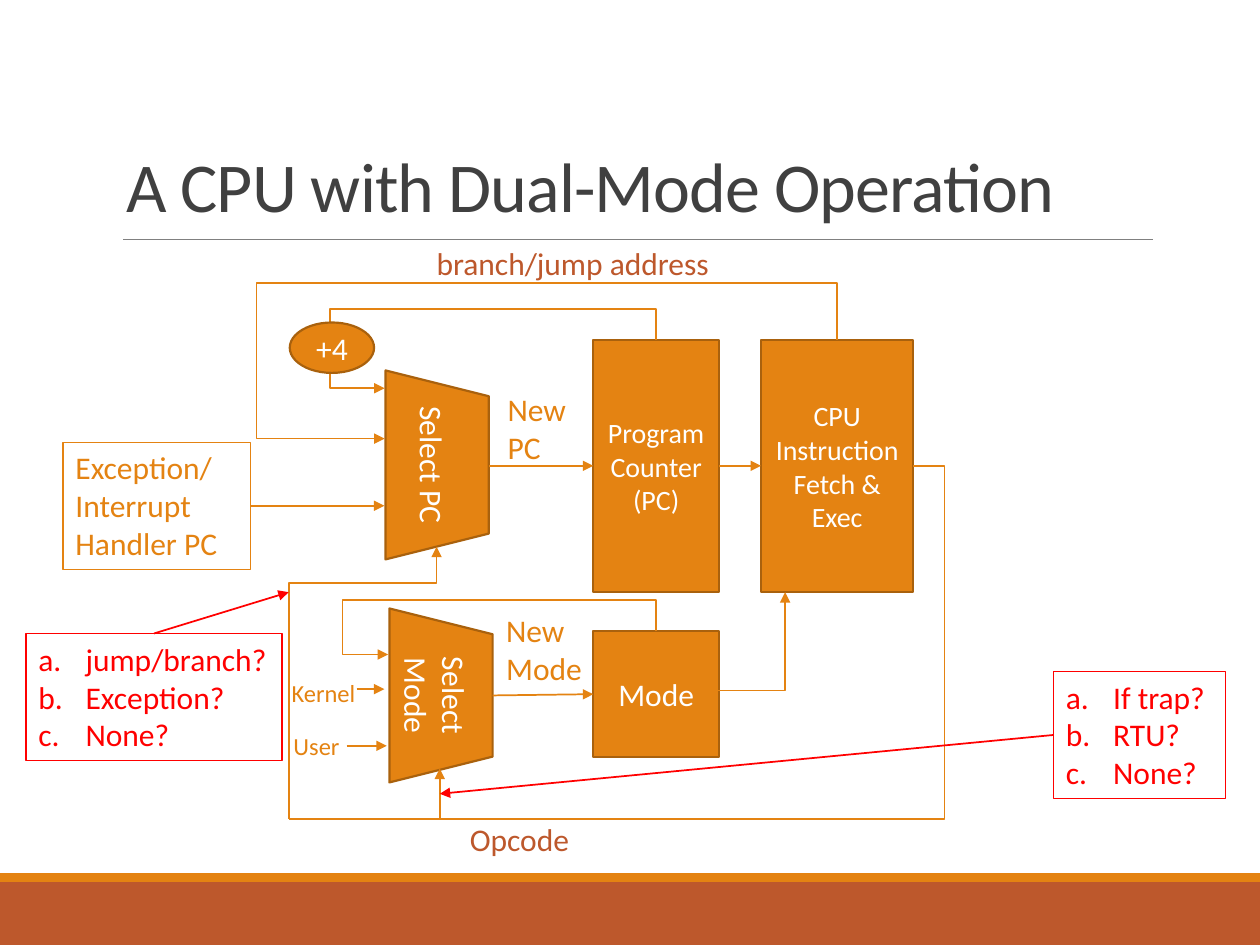
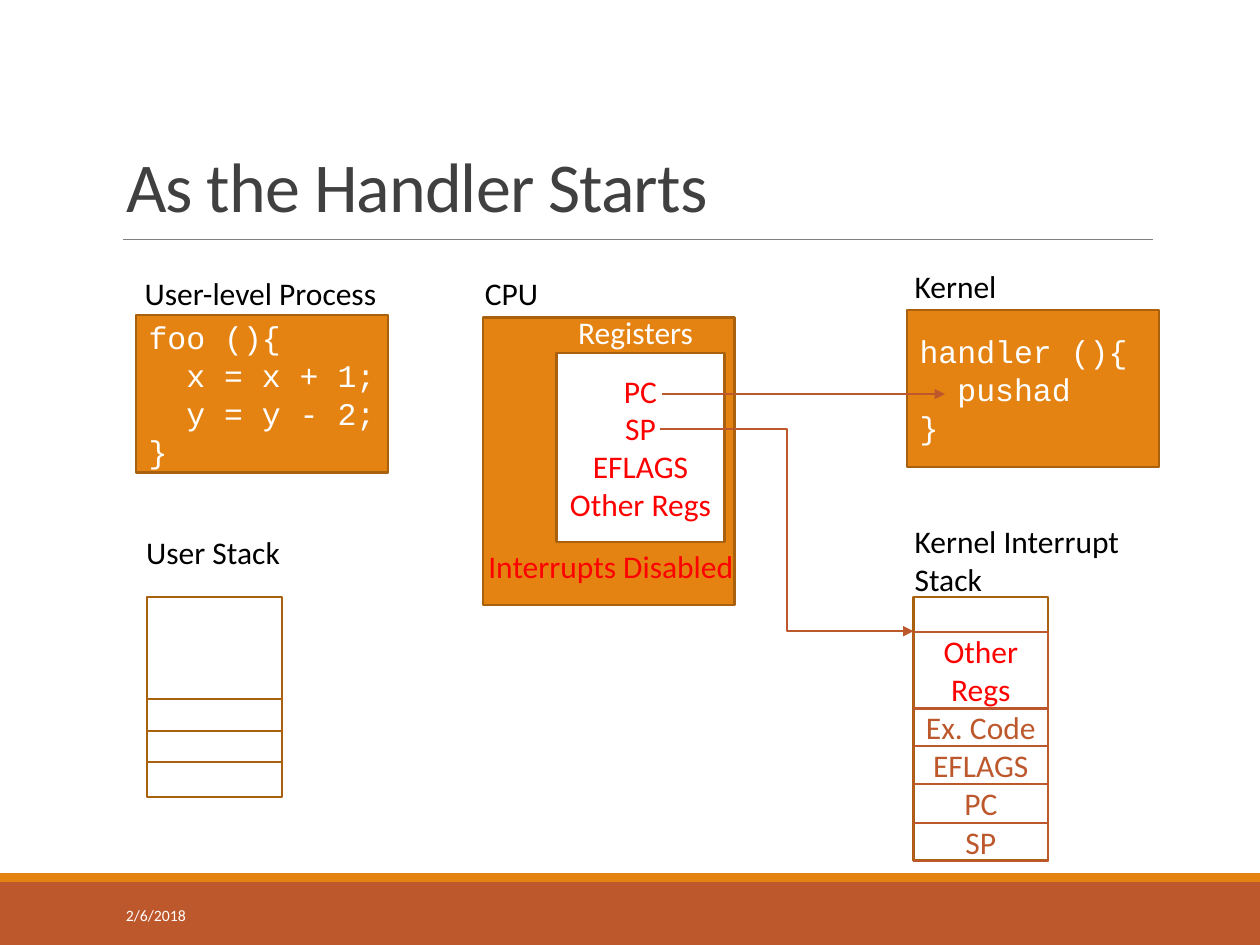
from dataclasses import dataclass
from lxml.etree import SubElement
from pptx import Presentation
from pptx.dml.color import RGBColor
from pptx.enum.shapes import MSO_CONNECTOR, MSO_SHAPE
from pptx.enum.text import MSO_ANCHOR, MSO_AUTO_SIZE, PP_ALIGN
from pptx.oxml.ns import qn
from pptx.util import Pt


@dataclass(frozen=True)
class Theme:
    orange: str = "E48312"
    outline: str = "A9610D"
    rust: str = "BD582C"
    red: str = "FF0000"
    white: str = "FFFFFF"
    black: str = "000000"
    title: str = "404040"
    rule: str = "808080"
    font: str = "Calibri"
    code_font: str = "Courier New"
    title_size: float = 40
    body_size: float = 18
    block_size: float = 16
    label_size: float = 14
    date_size: float = 9
    outline_width: float = 1.25
    line_width: float = 1
    frame_width: float = 0.75
    rule_width: float = 0.5


theme = Theme()


def add_box(slide, frame, lines="", color=theme.white, size=theme.body_size, kind=None, fill=None,
            line=None, width=theme.outline_width, align=PP_ALIGN.LEFT, anchor=MSO_ANCHOR.TOP,
            wrap=True, font=theme.font):
    lengths = [Pt(value) for value in frame]
    if kind is None:
        shape = slide.shapes.add_textbox(*lengths)
        shape.text_frame.auto_size = MSO_AUTO_SIZE.SHAPE_TO_FIT_TEXT
    else:
        shape = slide.shapes.add_shape(kind, *lengths)
        shape.shadow.inherit = False
    if fill:
        shape.fill.solid()
        shape.fill.fore_color.rgb = RGBColor.from_string(fill)
    else:
        shape.fill.background()
    if line:
        shape.line.color.rgb = RGBColor.from_string(line)
        shape.line.width = Pt(width)
    else:
        shape.line.fill.background()
    text_frame = shape.text_frame
    text_frame.word_wrap = wrap
    text_frame.vertical_anchor = anchor
    paragraph_texts = [lines] if isinstance(lines, str) else lines
    for index, text in enumerate(paragraph_texts):
        paragraph = text_frame.add_paragraph() if index else text_frame.paragraphs[0]
        paragraph.text = text
        paragraph.alignment = align
        paragraph.font.name = font
        paragraph.font.size = Pt(size)
        paragraph.font.color.rgb = RGBColor.from_string(color)
    return shape


def add_link(slide, start, end, color=theme.orange, arrow=True, bend=None, width=theme.line_width):
    if bend:
        rotation, flips, adjustments = bend
        across, down = abs(end[0] - start[0]), abs(end[1] - start[1])
        if rotation:
            across, down = down, across
        left = (start[0] + end[0] - across) / 2
        top = (start[1] + end[1] - down) / 2
        connector = slide.shapes.add_connector(
            MSO_CONNECTOR.ELBOW, Pt(left), Pt(top), Pt(left + across), Pt(top + down))
        transform = connector.element.spPr.find(qn("a:xfrm"))
        transform.set("rot", str(rotation * 60000))
        for flip in flips:
            transform.set("flip" + flip, "1")
        geometry = connector.element.spPr.find(qn("a:prstGeom"))
        geometry.set("prst", f"bentConnector{len(adjustments) + 2}")
        for number, value in enumerate(adjustments, 1):
            SubElement(geometry.find(qn("a:avLst")), qn("a:gd"),
                       name=f"adj{number}", fmla=f"val {round(value * 100000)}")
    else:
        connector = slide.shapes.add_connector(
            MSO_CONNECTOR.STRAIGHT, *[Pt(value) for value in (*start, *end)])
    connector.line.color.rgb = RGBColor.from_string(color)
    connector.line.width = Pt(width)
    properties = connector.element.spPr
    if arrow:
        SubElement(properties.find(qn("a:ln")), qn("a:tailEnd"), type="triangle")
    SubElement(properties, qn("a:effectLst"))
    return connector


presentation = Presentation()
presentation.slide_width = Pt(720)
presentation.slide_height = Pt(540)
layout = presentation.slide_layouts[5]
for placeholder in list(layout.placeholders):
    if placeholder.placeholder_format.idx:
        placeholder.element.getparent().remove(placeholder.element)

slides = []
for heading in ("A CPU with Dual-Mode Operation", "As the Handler Starts"):
    slide = presentation.slides.add_slide(layout)
    title = slide.shapes.title
    title.left, title.top, title.width, title.height = Pt(64.8), Pt(22.2), Pt(594), Pt(111)
    title.text_frame.auto_size = MSO_AUTO_SIZE.NONE
    title.text_frame.vertical_anchor = MSO_ANCHOR.BOTTOM
    paragraph = title.text_frame.paragraphs[0]
    paragraph.text = heading
    paragraph.alignment = PP_ALIGN.LEFT
    paragraph.line_spacing = 0.85
    paragraph.font.name = theme.font
    paragraph.font.size = Pt(theme.title_size)
    paragraph.font.color.rgb = RGBColor.from_string(theme.title)
    paragraph.runs[0].font._element.set("spc", "-50")
    slides.append(slide)
cpu_slide, handler_slide = slides

footer_band = add_box(cpu_slide, (0, 504, 720, 36), kind=MSO_SHAPE.RECTANGLE, fill=theme.rust)
accent_band = add_box(cpu_slide, (0, 499, 720, 5), kind=MSO_SHAPE.RECTANGLE, fill=theme.orange)
title_rule = add_link(cpu_slide, (70.5, 136.8), (658.8, 136.8), theme.rule, False,
                      width=theme.rule_width)
for shared in (footer_band, accent_band, title_rule):
    layout.shapes.element.append(shared.element)

solid = dict(fill=theme.orange, line=theme.outline, anchor=MSO_ANCHOR.MIDDLE)
block = dict(solid, kind=MSO_SHAPE.RECTANGLE)
centered_block = dict(block, align=PP_ALIGN.CENTER)
paper = dict(centered_block, fill=theme.white)

for text, frame in (("Select PC", (195.8, 236.2, 108, 59)),
                    ("Select Mode", (202.3, 367.9, 99.4, 59))):
    selector = add_box(cpu_slide, frame, text, kind=MSO_SHAPE.TRAPEZOID,
                       align=PP_ALIGN.CENTER, **solid)
    selector.rotation = 90
for text, frame, size in (
    ("Program Counter (PC)", (339, 194.4, 72, 144), theme.block_size),
    ("CPU Instruction Fetch & Exec", (434.9, 194.4, 87, 144), theme.block_size),
    ("Mode", (339, 360.7, 72, 72), theme.body_size),
):
    add_box(cpu_slide, frame, text, size=size, **centered_block)

for start, end in (
    ((279.4, 266.2), (339, 266.2)),
    ((411, 266.2), (434.9, 266.2)),
    ((281.5, 397.4), (339, 396.7)),
    ((251.3, 468), (251.3, 439.2)),
    ((143.3, 289), (219.6, 289)),
    ((203.8, 393.8), (219.6, 393.8)),
    ((198, 426.2), (221, 426.2)),
):
    add_link(cpu_slide, start, end)
for start, end, arrow, bend in (
    ((375, 194.4), (219.8, 221.8), True, (270, "HV", (-0.65, 1.2))),
    ((375, 360.7), (221.8, 374), True, (270, "HV", (-1.36, 1.17))),
    ((394.2, 393.8), (448.6, 338.4), True, (90, "HV", (-0.015,))),
    ((522, 266.2), (165, 468), False, (0, "H", (-0.05,))),
    ((165.2, 468), (249.5, 312.5), True, (90, "HV", (0.867,))),
    ((478.4, 194.4), (219.8, 250.6), True, (270, "HV", (-0.585, 1.283))),
):
    add_link(cpu_slide, start, end, arrow=arrow, bend=bend)
add_box(cpu_slide, (165.6, 184.3, 48.2, 28.8), "+4", kind=MSO_SHAPE.OVAL,
        align=PP_ALIGN.CENTER, **solid)

for text, frame, color, size, wrap in (
    ("branch/jump address", (242.4, 135.6, 172, 29), theme.rust, theme.body_size, False),
    ("Opcode", (261.4, 465.1, 72, 29), theme.rust, theme.body_size, False),
    ("New PC", (283, 219.2, 51.8, 51), theme.orange, theme.body_size, True),
    ("New Mode", (282.2, 345.6, 59.8, 51), theme.orange, theme.body_size, True),
    ("Kernel", (159.5, 384, 61.2, 41), theme.orange, theme.label_size, True),
    ("User", (160.6, 414.4, 61.2, 24.4), theme.orange, theme.label_size, True),
):
    add_box(cpu_slide, frame, text, color, size, wrap=wrap)
add_box(cpu_slide, (36, 252.7, 107.3, 72.7), "Exception/ Interrupt Handler PC", theme.orange,
        line=theme.orange, width=theme.frame_width)

for choices, frame, start, end in (
    (("If trap?", "RTU?", "None?"), (602, 383.6, 98.4, 72.7), (602, 420), (251.3, 453.6)),
    (("jump/branch?", "Exception?", "None?"), (14.8, 362, 146.4, 72.7), (88, 362), (165, 338.4)),
):
    callout = add_box(cpu_slide, frame, choices, theme.red, line=theme.red,
                      width=theme.frame_width, wrap=False)
    for paragraph in callout.text_frame.paragraphs:
        properties = paragraph._p.get_or_add_pPr()
        properties.set("marL", str(Pt(27)))
        properties.set("indent", str(Pt(-27)))
        numbering = properties.makeelement(qn("a:buAutoNum"), {"type": "alphaLcPeriod"})
        properties.insert(0, numbering)
    add_link(cpu_slide, start, end, theme.red)

for frame, text in (
    ((77.8, 180, 144, 90), "foo (){\n  x = x + 1;\n  y = y - 2;\n}"),
    ((518.4, 177.1, 144, 90), "handler (){\n  pushad\n}"),
):
    add_box(handler_slide, frame, text, font=theme.code_font, **block)
add_box(handler_slide, (275.8, 181.4, 144, 164.2), **block)
add_box(handler_slide, (318, 201.6, 96, 108), "PC\nSP\nEFLAGS\nOther Regs", theme.red, **paper)

for text, frame, color, wrap in (
    ("User-level Process", (75.6, 152.9, 148.3, 29), theme.black, False),
    ("CPU", (270, 152.9, 59.8, 29), theme.black, True),
    ("Registers", (323.3, 175.3, 85, 29), theme.white, True),
    ("User Stack", (76.5, 301.3, 91.4, 29), theme.black, False),
    ("Kernel", (515.6, 149.3, 61.9, 29), theme.black, False),
    ("Kernel Interrupt\nStack", (515.6, 294.8, 132.5, 51), theme.black, False),
    ("Interrupts Disabled", (272, 309.2, 156.2, 29), theme.red, False),
):
    add_box(handler_slide, frame, text, color, wrap=wrap)

stack_top, stack_width = 341.3, 77
user_left, kernel_left = 84.2, 522
add_box(handler_slide, (kernel_left, stack_top, stack_width, 150.5), **paper)
for row in range(3):
    add_box(handler_slide, (user_left, 399.6 + 18 * row, stack_width, 20), **paper)
add_box(handler_slide, (user_left, stack_top, stack_width, 58.3), **paper)

cell_top, cell_height = 404.4, 21.9
cells = [("Other Regs", 361.2, 44, theme.red)]
for row, text in enumerate(("Ex. Code", "EFLAGS", "PC", "SP")):
    cells.append((text, cell_top + row * cell_height, cell_height, theme.rust))
for text, top, height, color in cells:
    cell = add_box(handler_slide, (kernel_left, top, stack_width, height), text, color,
                   line=theme.rust, width=theme.line_width, align=PP_ALIGN.CENTER)
    text_frame = cell.text_frame
    text_frame.margin_left = text_frame.margin_right = Pt(0)
    text_frame.margin_top = text_frame.margin_bottom = Pt(0)

add_link(handler_slide, (378, 225.2), (540, 225.2), theme.rust)
add_link(handler_slide, (377.3, 245.3), (kernel_left, 360.7), theme.rust, bend=(0, "", (0.5,)))
add_box(handler_slide, (64.8, 508.6, 146, 28.8), "2/6/2018", size=theme.date_size,
        anchor=MSO_ANCHOR.MIDDLE).text_frame.auto_size = MSO_AUTO_SIZE.NONE

presentation.save("out.pptx")
